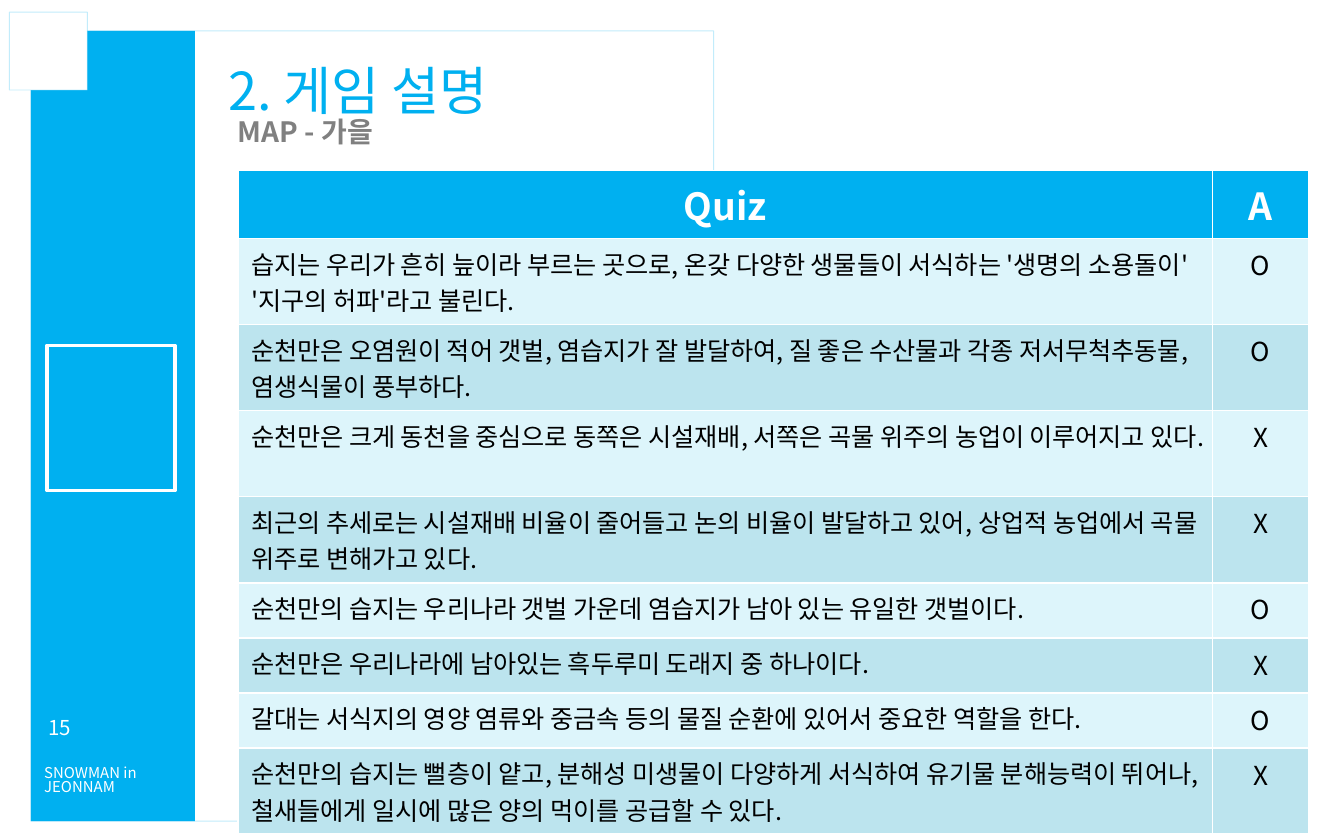
from lxml import etree
from pptx import Presentation, util as u
from pptx.dml.color import RGBColor
from pptx.enum import shapes, text
from pptx.oxml.ns import qn

# Content
TITLE = "2. 게임 설명"
SUBTITLE = "MAP - 가을"
PAGE = "15"
FOOTER = ["SNOWMAN in", "JEONNAM"]
HEADER = ("Quiz", "A")
# question, answer, lines it takes
QUIZ = [
    ("습지는 우리가 흔히 늪이라 부르는 곳으로, 온갖 다양한 생물들이 서식하는 '생명의 소용돌이' '지구의 허파'라고 불린다.", "O", 2),
    ("순천만은 오염원이 적어 갯벌, 염습지가 잘 발달하여, 질 좋은 수산물과 각종 저서무척추동물, 염생식물이 풍부하다.", "O", 2),
    ("순천만은 크게 동천을 중심으로 동쪽은 시설재배, 서쪽은 곡물 위주의 농업이 이루어지고 있다.", "X", 2),
    ("최근의 추세로는 시설재배 비율이 줄어들고 논의 비율이 발달하고 있어, 상업적 농업에서 곡물 위주로 변해가고 있다.", "X", 2),
    ("순천만의 습지는 우리나라 갯벌 가운데 염습지가 남아 있는 유일한 갯벌이다.", "O", 1),
    ("순천만은 우리나라에 남아있는 흑두루미 도래지 중 하나이다.", "X", 1),
    ("갈대는 서식지의 영양 염류와 중금속 등의 물질 순환에 있어서 중요한 역할을 한다.", "O", 1),
    ("순천만의 습지는 뻘층이 얕고, 분해성 미생물이 다양하게 서식하여 유기물 분해능력이 뛰어나, 철새들에게 일시에 많은 양의 먹이를 공급할 수 있다.", "X", 2),
]

# Style and layout
FONT = "Noto Sans CJK KR"
SKY, WHITE, GRAY, BLACK = "00B0F0", "FFFFFF", "808080", "000000"
BANDS = ("DDF5FB", "BCE4EE")
MARGIN, BAR_W, FRAME_W = 0.23, 1.22, 5.08
BODY_LEFT, TABLE_TOP = 1.77, 1.27
COLUMNS = (7.25, 0.72)
HEADER_H, LINE_H = 0.49, {1: 0.41, 2: 0.64}
LEFT, CENTER = text.PP_ALIGN.LEFT, text.PP_ALIGN.CENTER

prs = Presentation()
prs.slide_width, prs.slide_height = u.Inches(10), u.Inches(6.25)
slide = prs.slides.add_slide(prs.slide_layouts[1])
FRAME_H = 6.25 - MARGIN - 0.14


def color(value):
    return RGBColor.from_string(value)


def inches(*values):
    return [u.Inches(v) for v in values]


def place(part, *box):
    part.left, part.top, part.width, part.height = inches(*box)


def add_rect(box, fill=None, line=None, width=0.5, alpha=None):
    rect = slide.shapes.add_shape(shapes.MSO_SHAPE.RECTANGLE, *inches(*box))
    rect.shadow.inherit = False
    if fill:
        rect.fill.solid()
        rect.fill.fore_color.rgb = color(fill)
    else:
        rect.fill.background()
    if line:
        rect.line.color.rgb = color(line)
        rect.line.width = u.Pt(width)
    else:
        rect.line.fill.background()
    if alpha:
        tint = rect.line._ln.find(".//" + qn("a:srgbClr"))
        etree.SubElement(tint, qn("a:alpha"), val=str(alpha * 1000))


def write(frame, lines, size, ink, bold=False, align=LEFT, spacing=1.0):
    for i, line in enumerate(lines):
        para = frame.paragraphs[0] if i == 0 else frame.add_paragraph()
        para.alignment, para.line_spacing = align, spacing
        para.space_before = u.Pt(0)
        run = para.add_run()
        run.text = line
        run.font.size, run.font.bold, run.font.name = u.Pt(size), bold, FONT
        run.font.color.rgb = color(ink)
        etree.SubElement(run._r.get_or_add_rPr(), qn("a:ea"), typeface=FONT)


def set_frame(frame):
    frame.word_wrap = True
    frame.auto_size = text.MSO_AUTO_SIZE.NONE
    frame.vertical_anchor = text.MSO_ANCHOR.MIDDLE


def add_label(box, lines, size, spacing=1.0):
    frame = slide.shapes.add_textbox(*inches(*box)).text_frame
    set_frame(frame)
    write(frame, lines, size, WHITE, spacing=spacing)


# Side bar, frame and corner square
add_rect((MARGIN, MARGIN, FRAME_W, FRAME_H), line=SKY, alpha=24)
add_rect((MARGIN, MARGIN, BAR_W, FRAME_H), fill=SKY)
add_rect((0.07, 0.09, 0.58, 0.58), fill=WHITE, line=SKY, alpha=24)
add_rect((0.35, 2.57, 0.95, 1.08), line=WHITE, width=2)

# Title and subtitle
title, subtitle = slide.placeholders
place(title, 1.6, 0.36, 3.24, 0.61)
set_frame(title.text_frame)
write(title.text_frame, [TITLE], 28, SKY)

place(subtitle, BODY_LEFT, 0.83, 2.99, 0.29)
set_frame(subtitle.text_frame)
subtitle.text_frame.margin_left = subtitle.text_frame.margin_right = 0
props = subtitle.text_frame.paragraphs[0]._p.get_or_add_pPr()
props.set("marL", "0")
props.set("indent", "0")
etree.SubElement(props, qn("a:buNone"))
write(subtitle.text_frame, [SUBTITLE], 15, GRAY, bold=True)

# Page number and footer
add_label((0.26, 5.25, 0.58, 0.32), [PAGE], 11)
add_label((MARGIN, 5.6, 1.21, 0.43), FOOTER, 8, spacing=0.8)

# Quiz table
heights = [HEADER_H] + [LINE_H[lines] for *_, lines in QUIZ]
table = slide.shapes.add_table(
    len(heights), len(COLUMNS),
    *inches(BODY_LEFT, TABLE_TOP, sum(COLUMNS), sum(heights))).table
for column, width in zip(table.columns, COLUMNS):
    column.width = u.Inches(width)
for r, (height, values) in enumerate(zip(heights, [HEADER] + QUIZ)):
    table.rows[r].height = u.Inches(height)
    for c in range(len(COLUMNS)):
        cell = table.cell(r, c)
        cell.fill.solid()
        cell.fill.fore_color.rgb = color(BANDS[(r - 1) % 2] if r else SKY)
        if r == 0:
            write(cell.text_frame, [values[c]], 20, WHITE, True, CENTER)
        else:
            write(cell.text_frame, [values[c]], 14 if c else 13.5, BLACK,
                  align=CENTER if c else LEFT)

prs.save("out.pptx")
